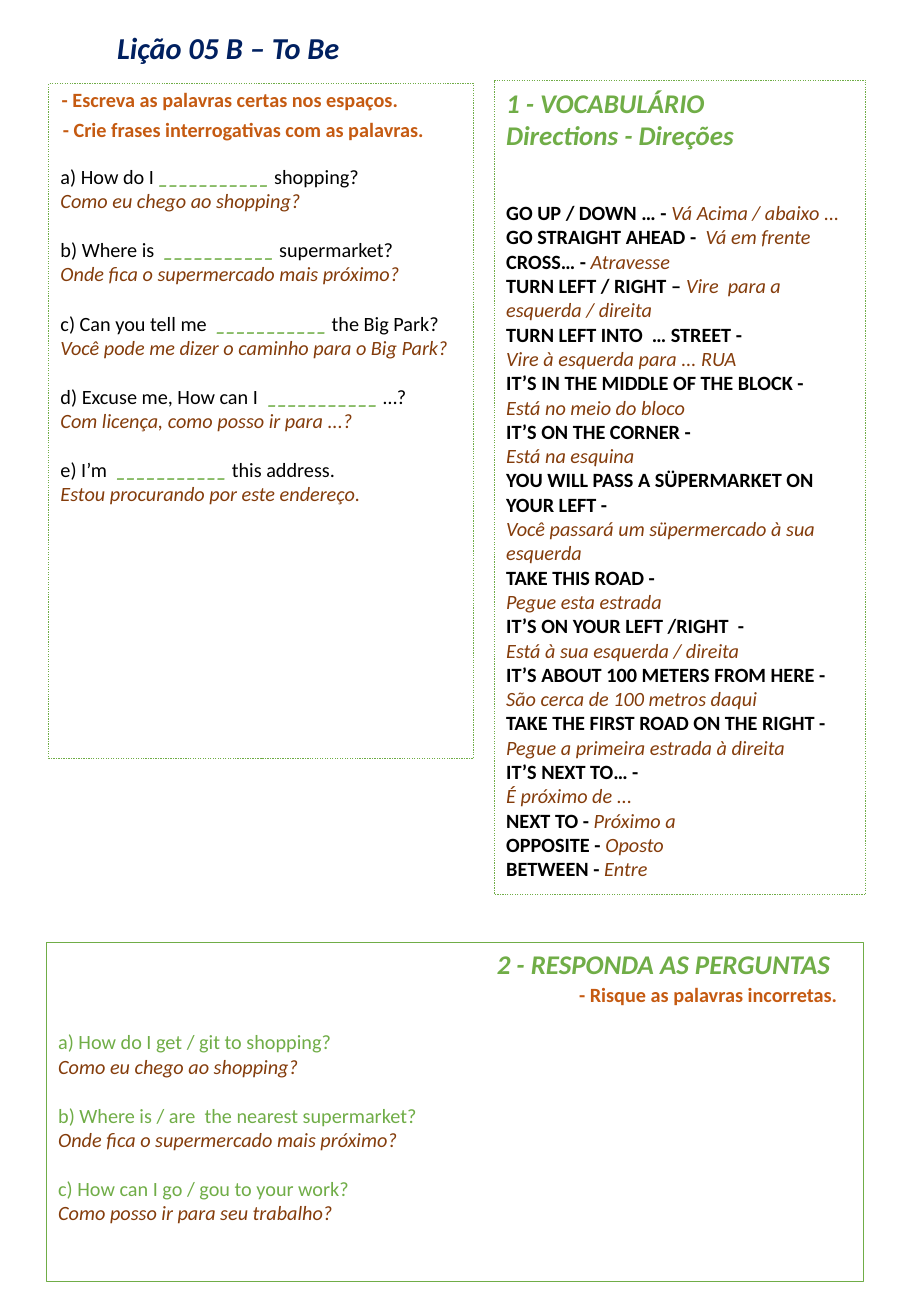
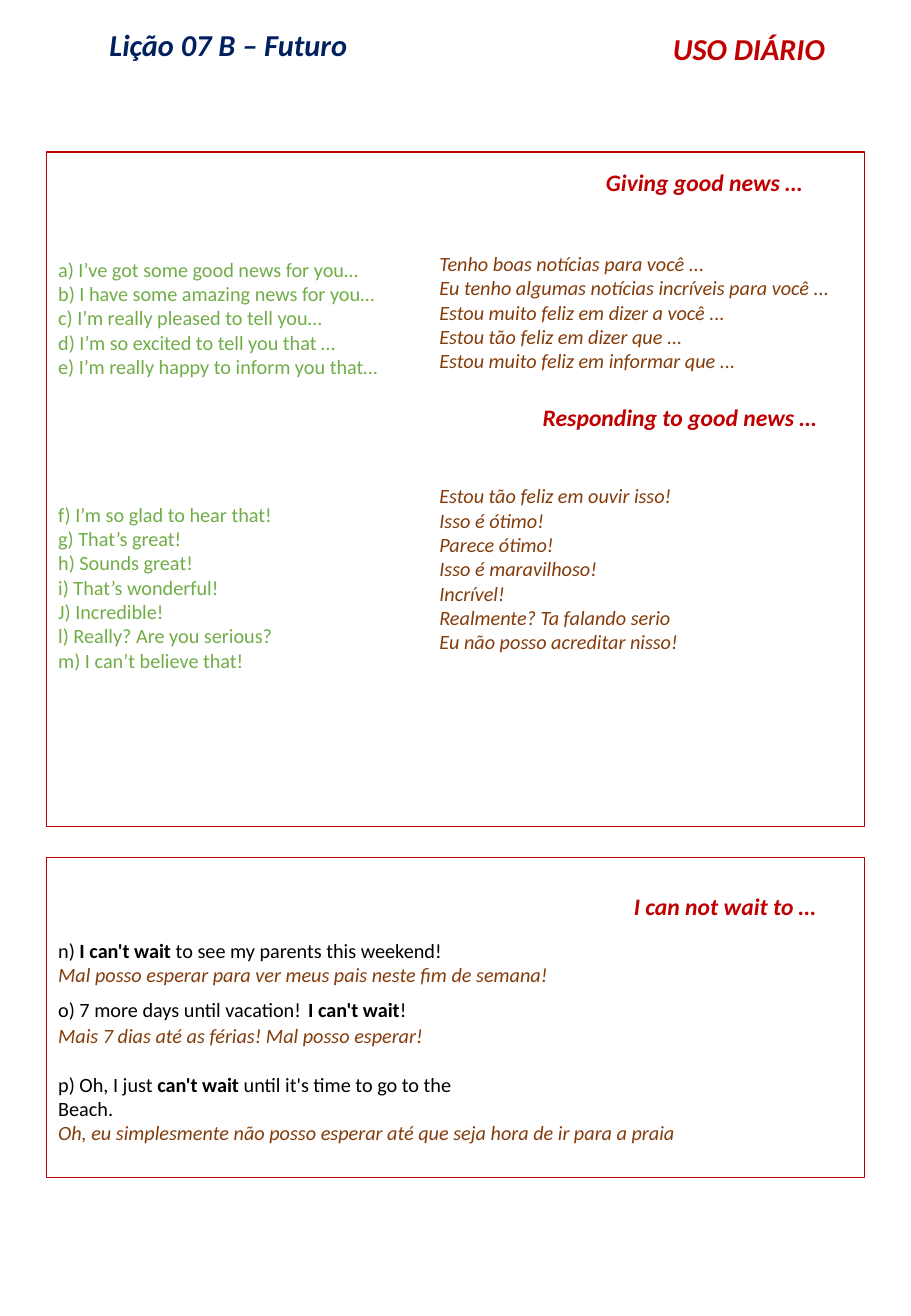
from dataclasses import dataclass

from pptx import Presentation
from pptx.dml.color import RGBColor
from pptx.enum.dml import MSO_LINE
from pptx.enum.shapes import MSO_SHAPE
from pptx.enum.text import MSO_ANCHOR, PP_ALIGN
from pptx.slide import Slide
from pptx.text.text import Font, TextFrame
from pptx.util import Pt

RECTANGLE = MSO_SHAPE.RECTANGLE
DOTTED = MSO_LINE.ROUND_DOT
TOP = MSO_ANCHOR.TOP
LEFT, CENTER = PP_ALIGN.LEFT, PP_ALIGN.CENTER

FONT_NAME = "Calibri"
GREEN, BROWN, BLACK = "70AD47", "843C0B", "000000"
RED, NAVY, ORANGE = "C00000", "002060", "C55A11"
ROW = 14.65
INSET = 3.6


@dataclass(frozen=True)
class Style:
    color: str
    bold: bool = False
    italic: bool = False
    size: float = 12


@dataclass(frozen=True)
class Span:
    text: str
    style: Style


@dataclass(frozen=True)
class Line:
    spans: tuple[Span, ...]
    before: float = 0
    indent: float = 0


@dataclass(frozen=True)
class Area:
    left: float
    top: float
    width: float
    height: float


@dataclass(frozen=True)
class Label:
    text: str
    area: Area
    style: Style


@dataclass(frozen=True)
class Panel:
    area: Area
    border: str
    lines: list[Line]
    weight: float = 0.75
    dotted: bool = False
    blank_rows: int = 0


PLAIN = Style(BLACK)
STRONG = Style(BLACK, bold=True)
ENGLISH = Style(GREEN)
PORTUGUESE = Style(BROWN, italic=True)
GAP = Style(GREEN, bold=True, italic=True)
HEADING = Style(GREEN, bold=True, italic=True, size=16)
INSTRUCTION = Style(ORANGE, bold=True)
LESSON = Style(NAVY, bold=True, italic=True, size=18)
USAGE = Style(RED, bold=True, italic=True, size=18)
TOPIC = Style(RED, bold=True, italic=True, size=14)


def rgb(value: str) -> RGBColor:
    return RGBColor.from_string(value)


def line(text: str, style: Style, before: float = 0, indent: float = 0) -> Line:
    return Line((Span(text, style),), before, indent)


def set_font(font: Font, style: Style) -> None:
    font.name = FONT_NAME
    font.size = Pt(style.size)
    font.bold = style.bold
    font.italic = style.italic
    font.color.rgb = rgb(style.color)


def write(frame: TextFrame, lines: list[Line], align: PP_ALIGN = LEFT) -> None:
    for number, content in enumerate(lines):
        paragraph = frame.add_paragraph() if number else frame.paragraphs[0]
        paragraph.alignment = align
        if content.before:
            paragraph.space_before = Pt(content.before)
        if content.indent:
            paragraph._p.get_or_add_pPr().set("marL", str(Pt(content.indent)))
        for span in content.spans:
            run = paragraph.add_run()
            run.text = span.text
            if len(content.spans) > 1:
                set_font(run.font, span.style)
        if len(content.spans) == 1:
            set_font(paragraph.font, content.spans[0].style)


def place(area: Area) -> tuple[Pt, Pt, Pt, Pt]:
    return Pt(area.left), Pt(area.top), Pt(area.width), Pt(area.height)


def add_panel(slide: Slide, panel: Panel) -> None:
    box = slide.shapes.add_shape(RECTANGLE, *place(panel.area))
    box.shadow.inherit = False
    box.fill.background()
    box.line.color.rgb = rgb(panel.border)
    box.line.width = Pt(panel.weight)
    if panel.dotted:
        box.line.dash_style = DOTTED
    frame = box.text_frame
    frame.word_wrap = True
    frame.vertical_anchor = TOP
    frame.margin_top = Pt(INSET + panel.blank_rows * ROW)
    write(frame, panel.lines)


def add_label(slide: Slide, label: Label) -> None:
    frame = slide.shapes.add_textbox(*place(label.area)).text_frame
    frame.word_wrap = True
    write(frame, [line(label.text, label.style)])


def add_lesson_title(slide: Slide, text: str, area: Area, spacing: float) -> None:
    frame = slide.shapes.add_textbox(*place(area)).text_frame
    frame.word_wrap = False
    write(frame, [line(text, LESSON)], CENTER)
    frame.paragraphs[0].line_spacing = spacing


def gap_lines() -> list[Line]:
    questions = [
        ("a) How do I ", "shopping?", "Como eu chego ao shopping?"),
        ("b) Where is  ", "supermarket?", "Onde fica o supermercado mais próximo?"),
        ("c) Can you tell me  ", "the Big Park?",
         "Você pode me dizer o caminho para o Big Park?"),
        ("d) Excuse me, How can I  ", "…?", "Com licença, como posso ir para ...?"),
        ("e) I’m  ", "this address.", "Estou procurando por este endereço."),
    ]
    lines = []
    for start, end, translation in questions:
        spans = (Span(start, PLAIN), Span("___________ ", GAP), Span(end, PLAIN))
        lines += [Line(spans, ROW if lines else 0), line(translation, PORTUGUESE)]
    return lines


def vocabulary_lines() -> list[Line]:
    same_row = [
        ("GO UP / DOWN … - ", "Vá Acima / abaixo ..."),
        ("GO STRAIGHT AHEAD -  ", "Vá em frente"),
        ("CROSS… - ", "Atravesse"),
        ("TURN LEFT / RIGHT – ", "Vire  para a esquerda / direita"),
    ]
    two_rows = [
        ("TURN LEFT INTO  … STREET -", "Vire à esquerda para ... RUA"),
        ("IT’S IN THE MIDDLE OF THE BLOCK -", "Está no meio do bloco"),
        ("IT’S ON THE CORNER -", "Está na esquina"),
        ("YOU WILL PASS A SÜPERMARKET ON YOUR LEFT -",
         "Você passará um süpermercado à sua esquerda"),
        ("TAKE THIS ROAD -", "Pegue esta estrada"),
        ("IT’S ON YOUR LEFT /RIGHT  -", "Está à sua esquerda / direita"),
        ("IT’S ABOUT 100 METERS FROM HERE -", "São cerca de 100 metros daqui"),
        ("TAKE THE FIRST ROAD ON THE RIGHT -", "Pegue a primeira estrada à direita"),
        ("IT’S NEXT TO… -", "É próximo de ..."),
    ]
    closing = [
        ("NEXT TO - ", "Próximo a"),
        ("OPPOSITE - ", "Oposto"),
        ("BETWEEN - ", "Entre"),
    ]

    def joined(pairs: list[tuple[str, str]], before: float = 0) -> list[Line]:
        return [
            Line((Span(phrase, STRONG), Span(meaning, PORTUGUESE)),
                 0 if number else before)
            for number, (phrase, meaning) in enumerate(pairs)
        ]

    lines = [line("1 - VOCABULÁRIO", HEADING), line("Directions - Direções", HEADING)]
    lines += joined(same_row, 2 * ROW)
    for phrase, meaning in two_rows:
        lines += [line(phrase, STRONG), line(meaning, PORTUGUESE)]
    return lines + joined(closing)


def question_lines() -> list[Line]:
    questions = [
        ("a) How do I get / git to shopping?", "Como eu chego ao shopping?"),
        ("b) Where is / are  the nearest supermarket?",
         "Onde fica o supermercado mais próximo?"),
        ("c) How can I go / gou to your work?", "Como posso ir para seu trabalho?"),
    ]
    lines = [line("2 - RESPONDA AS PERGUNTAS", HEADING, indent=260)]
    for number, (question, translation) in enumerate(questions):
        before = ROW if number else 2 * ROW
        lines += [line(question, ENGLISH, before), line(translation, PORTUGUESE)]
    return lines


def news_lines() -> list[Line]:
    giving = [
        "a) I’ve got some good news for you…",
        "b) I have some amazing news for you…",
        "c) I’m really pleased to tell you…",
        "d) I’m so excited to tell you that …",
        "e) I’m really happy to inform you that…",
    ]
    responding = [
        "f) I’m so glad to hear that!",
        "g) That’s great!",
        "h) Sounds great!",
        "i) That’s wonderful!",
        "J) Incredible!",
        "l) Really? Are you serious?",
        "m) I can’t believe that!",
    ]
    lines = [line(text, ENGLISH) for text in giving]
    lines.append(line(responding[0], ENGLISH, 5 * ROW))
    return lines + [line(text, ENGLISH) for text in responding[1:]]


def waiting_lines() -> list[Line]:
    return [
        Line((Span("n) ", PLAIN), Span("I can't wait", STRONG),
              Span(" to see my parents this weekend!", PLAIN))),
        line("Mal posso esperar para ver meus pais neste fim de semana!", PORTUGUESE),
        Line((Span("o) 7 more days until vacation!", PLAIN),
              Span(" ", Style(BLACK, size=18)),
              Span("I can't wait", STRONG), Span("!", PLAIN))),
        line("Mais 7 dias até as férias! Mal posso esperar!", PORTUGUESE),
        Line((Span("p) Oh, I just ", PLAIN), Span("can't wait", STRONG),
              Span(" until it's time to go to the", PLAIN)), ROW),
        line("Beach.", PLAIN),
        line("Oh, eu simplesmente não posso esperar até que seja hora de ir "
             "para a praia", PORTUGUESE),
    ]


def add_translations(slide: Slide, area: Area, texts: list[str]) -> None:
    frame = slide.shapes.add_textbox(*place(area)).text_frame
    frame.word_wrap = True
    write(frame, [line(text, PORTUGUESE) for text in texts])


def build_directions(slide: Slide) -> None:
    add_lesson_title(slide, "Lição 05 B – To Be", Area(61.2, 12.2, 148.3, 29.5), 1.07)
    for panel in (
        Panel(Area(28.8, 49.7, 252, 399.6), GREEN, gap_lines(),
              dotted=True, blank_rows=3),
        Panel(Area(27.4, 558, 484.6, 200.9), GREEN, question_lines(), weight=0.25),
        Panel(Area(293, 47.5, 220.3, 482.4), GREEN, vocabulary_lines(), dotted=True),
    ):
        add_panel(slide, panel)
    for label in (
        Label("- Escreva as palavras certas nos espaços.",
              Area(29.5, 48.2, 270, 21.6), INSTRUCTION),
        Label("- Crie frases interrogativas com as palavras.",
              Area(30.2, 66.2, 270, 21.6), INSTRUCTION),
        Label("- Risque as palavras incorretas.",
              Area(336.2, 578.2, 176.4, 21.6), INSTRUCTION),
    ):
        add_label(slide, label)


def build_daily_use(slide: Slide) -> None:
    add_lesson_title(slide, "Lição 07 B – Futuro", Area(56.9, 12.2, 157, 29.5), 1)
    add_panel(slide, Panel(Area(27.4, 90, 485.3, 399.6), RED, news_lines(), blank_rows=4))
    add_panel(slide, Panel(Area(27.4, 508.3, 485.3, 189.4), RED, waiting_lines(),
                           blank_rows=3))
    for label in (
        Label("USO DIÁRIO", Area(391.7, 14.4, 140, 28.8), USAGE),
        Label("Giving good news …", Area(352.1, 95.8, 144.7, 41), TOPIC),
        Label("Responding to good news …", Area(314.6, 235.4, 185, 41), TOPIC),
        Label("I can not wait to …", Area(368.6, 524.9, 128.2, 41), TOPIC),
    ):
        add_label(slide, label)
    add_translations(slide, Area(253.4, 145.4, 280, 80), [
        "Tenho boas notícias para você ...",
        "Eu tenho algumas notícias incríveis para você ...",
        "Estou muito feliz em dizer a você ...",
        "Estou tão feliz em dizer que ...",
        "Estou muito feliz em informar que ...",
    ])
    add_translations(slide, Area(253.4, 283, 216, 108.7), [
        "Estou tão feliz em ouvir isso!", "Isso é ótimo!", "Parece ótimo!",
        "Isso é maravilhoso!", "Incrível!", "Realmente? Ta falando serio",
        "Eu não posso acreditar nisso!",
    ])


def main() -> None:
    deck = Presentation()
    deck.slide_width, deck.slide_height = Pt(540), Pt(779.76)
    blank = deck.slide_layouts[6]
    for build in (build_directions, build_daily_use):
        build(deck.slides.add_slide(blank))
    deck.save("out.pptx")


if __name__ == "__main__":
    main()
